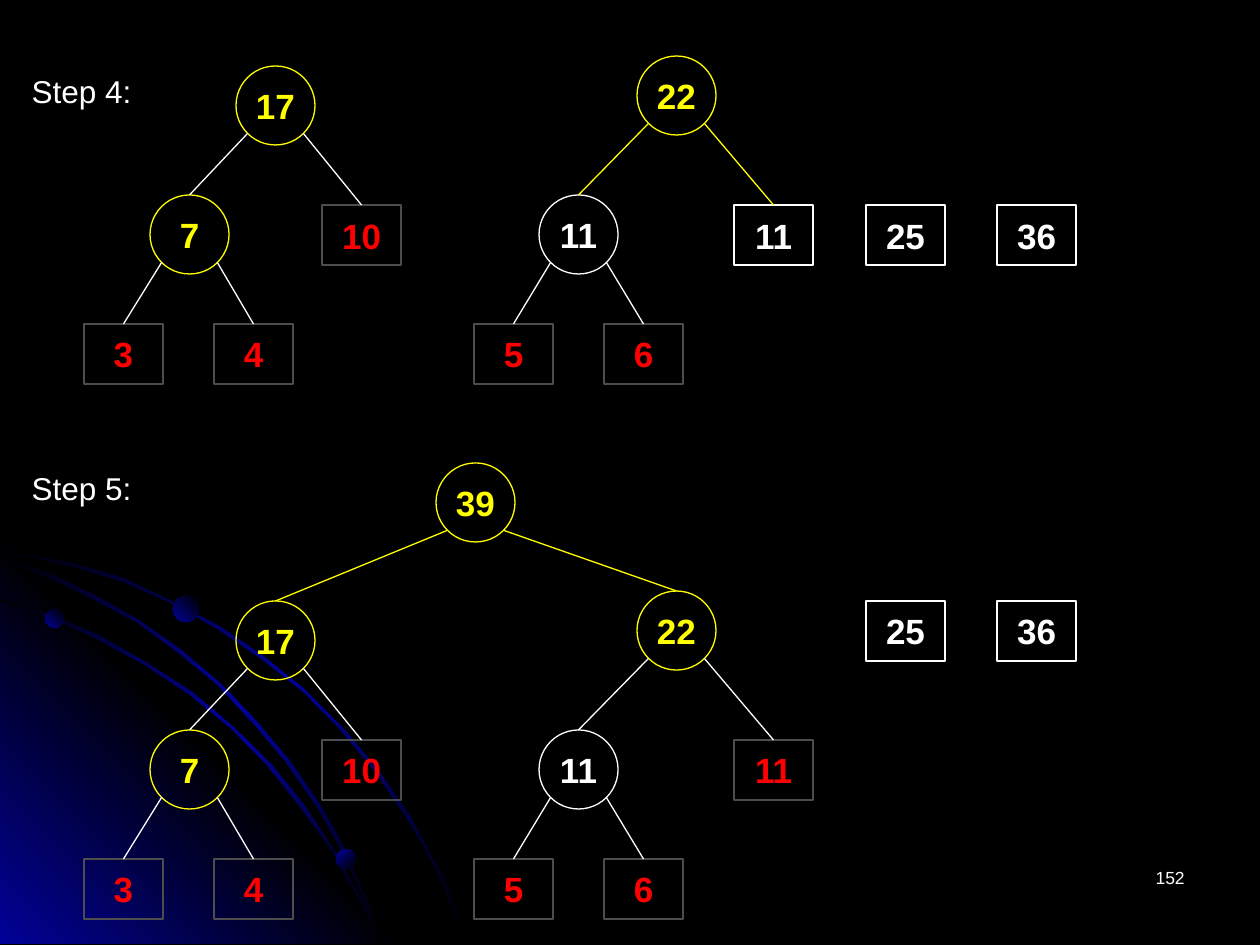
from dataclasses import dataclass

from lxml.etree import SubElement
from pptx import Presentation
from pptx.dml.color import RGBColor
from pptx.enum.shapes import MSO_CONNECTOR, MSO_SHAPE
from pptx.enum.text import MSO_ANCHOR, PP_ALIGN
from pptx.oxml.ns import qn
from pptx.util import Emu, Pt

SCALE = 914400 / 126  # EMU in one px
SIZE = 79             # width of every node
BOX = 60              # height of a leaf box
SHIFT = 535           # drop from step 4 to step 5


@dataclass(frozen=True)
class Theme:
    font: str = "Arial"
    black: str = "000000"
    blue: str = "010199"
    white: str = "FFFFFF"
    yellow: str = "FFFF00"
    red: str = "FF0000"
    gray: str = "4D4D4D"
    node: int = 20
    step: int = 18
    page: int = 10
    line: float = 0.75


@dataclass
class Node:
    text: str
    left: int
    top: int
    color: str
    kids: tuple = ()
    edge: str = "FFFFFF"


T = Theme()

# Edges of the three arcs, each going round its outline
ARCS = [
    [(72, 563), (35, 556), (0, 548), (0, 552), (35, 558), (71, 566), (122, 581),
     (170, 602), (218, 629), (262, 659), (304, 692), (341, 730), (375, 771),
     (407, 818), (425, 848), (441, 879), (454, 911), (466, 944), (469, 944),
     (456, 911), (444, 879), (427, 848), (410, 816), (378, 770), (343, 728),
     (305, 690), (263, 656), (219, 626), (171, 601), (123, 578)],
    [(359, 900), (370, 922), (379, 944), (382, 944), (373, 920), (360, 897),
     (335, 852), (305, 806), (271, 764), (232, 726), (192, 692), (147, 663),
     (100, 636), (52, 615), (0, 599), (0, 601), (49, 617), (97, 639),
     (145, 665), (189, 694), (231, 728), (268, 766), (302, 809), (334, 853)],
    [(0, 557), (0, 559), (45, 576), (93, 599), (137, 622), (179, 653),
     (218, 685), (255, 725), (286, 762), (318, 808), (336, 840), (353, 874),
     (368, 910), (379, 944), (382, 944), (370, 907), (355, 873), (339, 838),
     (320, 805), (289, 760), (257, 722), (221, 684), (181, 650), (140, 621),
     (96, 596), (49, 573)],
]
GLOW = [(406, 944), (0, 944), (0, 538)]
DOTS = [(45, 609, 19, 315), (336, 849, 20, 45), (173, 596, 26, 315)]


def px(num):
    return Emu(round(num * SCALE))


def rgb(code):
    return RGBColor.from_string(code)


def write(shape, text, size=T.node, color=T.white, bold=False,
          align=PP_ALIGN.CENTER, anchor=MSO_ANCHOR.MIDDLE, wrap=False):
    frame = shape.text_frame
    frame.word_wrap = wrap
    frame.vertical_anchor = anchor
    para = frame.paragraphs[0]
    para.alignment = align
    run = para.add_run()
    run.text = text
    run.font.name = T.font
    run.font.size = Pt(size)
    run.font.bold = bold
    run.font.color.rgb = rgb(color)


def blend(shape, colors, angle):
    """Fill with evenly spaced colours; the angle runs clockwise."""
    shape.shadow.inherit = False
    shape.line.fill.background()
    shape.fill.gradient()
    shape.fill.gradient_angle = 360 - angle
    stops = shape._element.spPr.find(qn("a:gradFill")).find(qn("a:gsLst"))
    stops.clear()
    for i, color in enumerate(colors):
        stop = SubElement(stops, qn("a:gs"), pos=str(i * 100000 // (len(colors) - 1)))
        SubElement(stop, qn("a:srgbClr"), val=color)


def outline(shapes, points, colors, angle):
    form = shapes.build_freeform(*points[0], scale=SCALE)
    form.add_line_segments(points[1:], close=True)
    blend(form.convert_to_shape(), colors, angle)


def decor(slide):
    shapes = slide.shapes.add_group_shape().shapes
    sheen = (T.black, T.blue, T.black)
    outline(shapes, ARCS[0], sheen, 45)
    outline(shapes, GLOW, (T.blue, T.black, T.blue), 315)
    for arc in ARCS[1:]:
        outline(shapes, arc, sheen, 45)
    for left, top, size, angle in DOTS:
        dot = shapes.add_shape(MSO_SHAPE.OVAL, px(left), px(top), px(size), px(size))
        blend(dot, (T.blue, T.black), angle)


def label(slide, text, left, top, width, height, **style):
    box = slide.shapes.add_textbox(px(left), px(top), px(width), px(height))
    write(box, text, anchor=MSO_ANCHOR.TOP, **style)


def link(slide, start, child, color):
    line = slide.shapes.add_connector(MSO_CONNECTOR.STRAIGHT, *start, *start)
    line.end_connect(child, 0)
    line.line.color.rgb = rgb(color)
    line.line.width = Pt(T.line)
    SubElement(line._element.spPr, qn("a:effectLst"))


def draw(slide, node, drop=0):
    """Draw a node and all below it: circles have children, boxes do not."""
    kind, high = (MSO_SHAPE.OVAL, SIZE) if node.kids else (MSO_SHAPE.RECTANGLE, BOX)
    top = node.top + drop
    shape = slide.shapes.add_shape(kind, px(node.left), px(top), px(SIZE), px(high))
    shape.shadow.inherit = False
    shape.fill.background()
    shape.line.color.rgb = rgb(T.gray if node.color == T.red else node.color)
    shape.line.width = Pt(T.line)
    write(shape, node.text, color=node.color, bold=True)
    # Edges leave the circle at its lower diagonals
    for part, kid in zip((0.15, 0.85), node.kids):
        start = px(node.left + part * SIZE), px(top + 0.85 * SIZE)
        link(slide, start, draw(slide, kid, drop), node.edge)
    return shape


def leaf(text, left, top, color=T.red):
    return Node(text, left, top, color)


def left_tree():
    seven = Node("7", 150, 195, T.yellow, (leaf("3", 84, 324), leaf("4", 214, 324)))
    return Node("17", 236, 66, T.yellow, (seven, leaf("10", 322, 205)))


def right_tree(color, edge):
    """The colour is that of the box 11, the edge that of the top links."""
    pair = Node("11", 539, 195, T.white, (leaf("5", 474, 324), leaf("6", 604, 324)))
    return Node("22", 637, 56, T.yellow, (pair, leaf("11", 734, 205, color)), edge)


def main():
    deck = Presentation()
    deck.slide_width, deck.slide_height = px(1260), px(945)
    slide = deck.slides.add_slide(deck.slide_layouts[6])
    slide.background.fill.solid()
    slide.background.fill.fore_color.rgb = rgb(T.black)
    decor(slide)

    # Step labels and waiting boxes
    for text, top, row in (("Step 4:", 66, 205), ("Step 5:", 463, 601)):
        label(slide, text, 19, top, 125, 51, size=T.step)
        for num, left in (("25", 866), ("36", 997)):
            draw(slide, leaf(num, left, row, T.white))

    # Step 4: two trees
    draw(slide, left_tree())
    draw(slide, right_tree(T.white, T.yellow))

    # Step 5: both trees under a new root
    kids = left_tree(), right_tree(T.red, T.white)
    root = Node("39", 436, 463 - SHIFT, T.yellow, kids, T.yellow)
    draw(slide, root, SHIFT)

    # Page number
    label(slide, "152", 903, 861, 294, 63, size=T.page, align=PP_ALIGN.RIGHT, wrap=True)
    deck.save("out.pptx")


if __name__ == "__main__":
    main()
